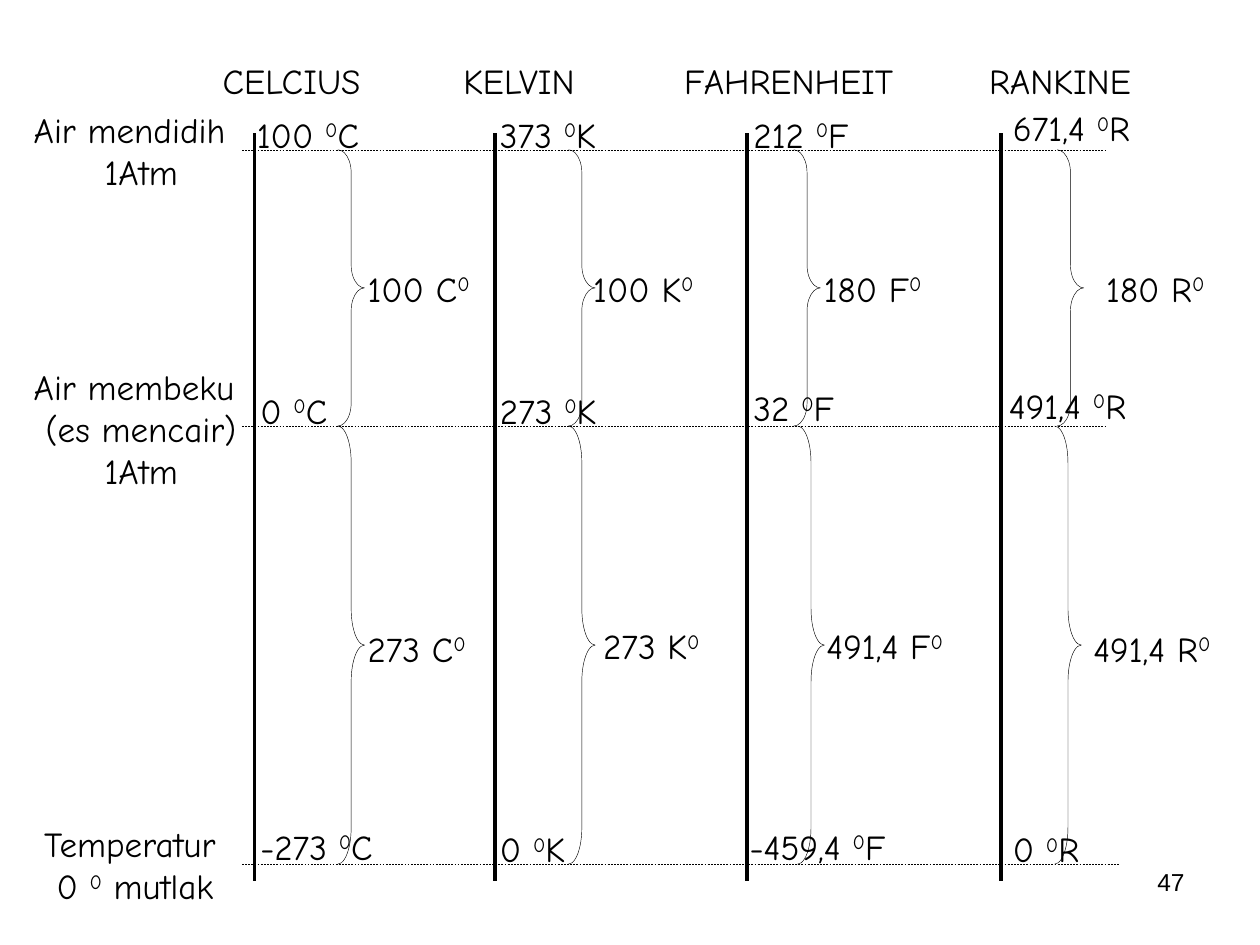
from lxml import etree
from pptx import Presentation
from pptx.dml.color import RGBColor
from pptx.enum.dml import MSO_LINE
from pptx.enum.shapes import MSO_CONNECTOR, MSO_SHAPE
from pptx.enum.text import MSO_ANCHOR, PP_ALIGN
from pptx.oxml.ns import qn
from pptx.util import Cm, Pt

DASH = MSO_LINE.DASH
LINE = MSO_CONNECTOR.STRAIGHT
BRACE = MSO_SHAPE.RIGHT_BRACE
TOP = MSO_ANCHOR.TOP
LEFT, RIGHT = PP_ALIGN.LEFT, PP_ALIGN.RIGHT

# Content: lengths in cm, text between carets is superscript
COLORS = {"ink": "000000"}
FONT = "Comic Neue"
LEVELS = (3.02, 8.59, 17.42)  # boiling, freezing, absolute zero
ENDS = (22.33, 22.33, 22.58)  # right end of each level line
AXIS = (2.69, 17.75)          # top and bottom of each scale
ROW, HEAD = 1, 1.32           # text box heights
WIDE = 0.54                   # brace width

# head, readings and gaps: (text, left, top, width)
SCALES = [
    {"x": 5.13, "braces": (6.81, 6.81),
     "head": ("CELCIUS", 4.24, 1.07, 4.24),
     "marks": [("100 ^0^C", 4.93, 2.16, 3.23),
               ("0 ^0^C", 5, 7.72, 2.41),
               ("-273 ^0^C", 5, 16.51, 3.76)],
     "gaps": [("100 C^0^", 7.16, 5.26, 3.23),
              ("273 C^0^", 7.16, 12.52, 3.23)]},
    {"x": 9.98, "braces": (11.46, 11.46),
     "head": ("KELVIN", 9.09, 1.07, 3.61),
     "marks": [("373 ^0^K", 9.83, 2.16, 3.23),
               ("273 ^0^K", 9.83, 7.72, 3.23),
               ("0 ^0^K", 9.83, 16.56, 2.41)],
     "gaps": [("100 K^0^", 11.71, 5.26, 3.23),
              ("273 K^0^", 11.91, 12.47, 3.23)]},
    {"x": 15.06, "braces": (16, 16.08),
     "head": ("FAHRENHEIT", 13.54, 1.07, 5.51),
     "marks": [("212 ^0^F", 14.94, 2.16, 3.23),
               ("32 ^0^F", 14.94, 7.67, 2.69),
               ("-459,4 ^0^F", 14.86, 16.51, 4.29)],
     "gaps": [("180 F^0^", 16.36, 5.26, 3.23),
              ("491,4 F^0^", 16.41, 12.47, 3.76)]},
    {"x": 20.17, "braces": (21.31, 21.26),
     "head": ("RANKINE", 19.69, 1.07, 4.24),
     "marks": [("671,4 ^0^R", 20.17, 2.03, 4.29),
               ("491,4 ^0^R", 20.09, 7.62, 4.04),
               ("0 ^0^R", 20.17, 16.56, 2.41)],
     "gaps": [("180 R^0^", 22.05, 5.26, 3.23),
              ("491,4 R^0^", 21.79, 12.52, 3.61)]},
]

# Row names: text, box, indent of each line
NAMES = [
    ("Air mendidih\n1Atm", (0.43, 2.06, 5.08, 1.96), (0, 1.43)),
    ("Air membeku\n(es mencair)\n1Atm", (0.43, 7.24, 5.03, 2.67),
     (0, 0.24, 1.43)),
    ("Temperatur\n0 ^0^ mutlak", (0.64, 16.46, 4.5, 1.96), (0, 0.25)),
]
PAGE = ("47", (18.21, 17.35, 5.92, 1.32))

deck = Presentation()
deck.slide_width, deck.slide_height = Cm(25.4), Cm(19.05)
slide = deck.slides.add_slide(deck.slide_layouts[6])
shapes = slide.shapes


def paint(line, width):
    line.color.rgb = RGBColor.from_string(COLORS["ink"])
    line.width = Pt(width)


def write(text, box, size=20, font=FONT, align=LEFT, indents=()):
    frame = shapes.add_textbox(*map(Cm, box)).text_frame
    frame.word_wrap = True
    frame.vertical_anchor = TOP
    for i, row in enumerate(text.split("\n")):
        para = frame.add_paragraph() if i else frame.paragraphs[0]
        para.alignment = align
        if indents and indents[i]:
            para._p.get_or_add_pPr().set("marL", str(Cm(indents[i])))
        for j, part in enumerate(row.split("^")):
            if not part:
                continue
            run = para.add_run()
            run.text = part
            run.font.size, run.font.name = Pt(size), font
            run.font.color.rgb = RGBColor.from_string(COLORS["ink"])
            if j % 2:
                run._r.get_or_add_rPr().set("baseline", "30000")


def rule(x1, y1, x2, y2, width, dash=None):
    line = shapes.add_connector(LINE, Cm(x1), Cm(y1), Cm(x2), Cm(y2))
    paint(line.line, width)
    if dash:
        line.line.dash_style = dash
    etree.SubElement(line._element.spPr, qn("a:effectLst"))


def brace(x, top, end):
    tall = end - top
    shape = shapes.add_shape(BRACE, Cm(x), Cm(top), Cm(WIDE), Cm(tall))
    shape.adjustments[0] = tall / 12 / WIDE
    shape.shadow.inherit = False
    shape.fill.background()
    paint(shape.line, 0.25)


# Page number and row names
write(*PAGE, size=14, font="Arial", align=RIGHT)
for text, box, indents in NAMES:
    write(text, box, indents=indents)

# Scales and level lines
for scale in SCALES:
    rule(scale["x"], AXIS[0], scale["x"], AXIS[1], 2.25)
for y, end in zip(LEVELS, ENDS):
    rule(4.88, y, end, y, 0.25, DASH)

# Braces, readings, gaps and heads
for scale in SCALES:
    for x, top, end in zip(scale["braces"], LEVELS, LEVELS[1:]):
        brace(x, top, end)
    for text, *box in scale["marks"] + scale["gaps"]:
        write(text, (*box, ROW))
    text, *box = scale["head"]
    write(text, (*box, HEAD))

deck.save("out.pptx")
